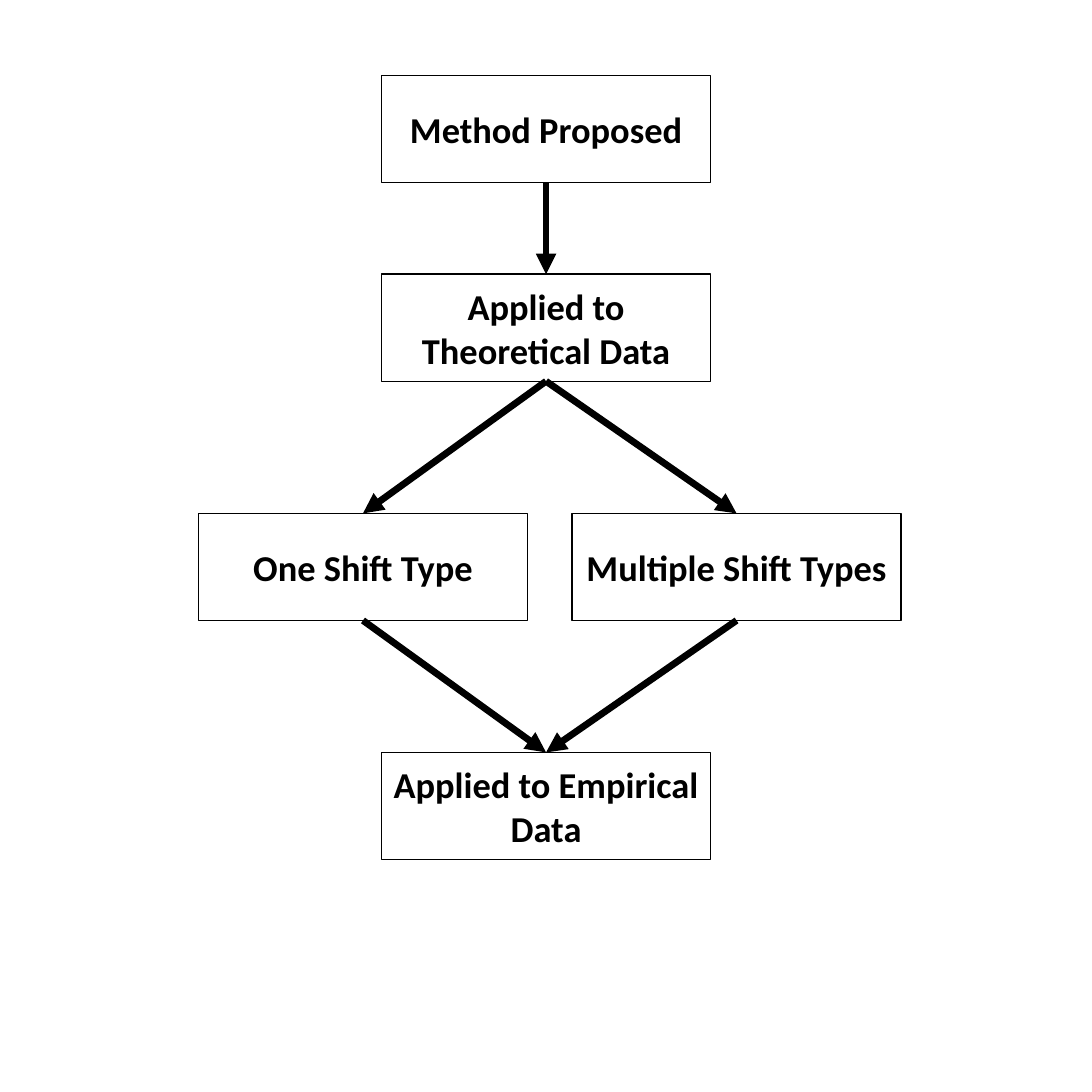
"""Build a flowchart of a method applied to theoretical and empirical data."""
from typing import NamedTuple

from pptx import Presentation
from pptx.dml.color import RGBColor
from pptx.enum import shapes, text
from pptx.oxml.ns import qn
from pptx.shapes.autoshape import Shape
from pptx.slide import Slide
from pptx.util import Pt
from lxml import etree

BLACK = RGBColor(0x00, 0x00, 0x00)
WHITE = RGBColor(0xFF, 0xFF, 0xFF)
FONT = "Calibri"
BOX_WIDTH, BOX_HEIGHT = Pt(216.7), Pt(70.6)
LEFT, CENTRE, RIGHT = Pt(131), Pt(251.7), Pt(377.3)
TOP_SITE, BOTTOM_SITE = 0, 2


class Step(NamedTuple):
    label: str
    left: int
    top: int


class Link(NamedTuple):
    source: str
    target: str


STEPS = {
    "method": Step("Method Proposed", CENTRE, Pt(49.7)),
    "theory": Step("Applied to Theoretical Data", CENTRE, Pt(180.8)),
    "empirical": Step("Applied to Empirical Data", CENTRE, Pt(496.1)),
    "one": Step("One Shift Type", LEFT, Pt(338.5)),
    "multiple": Step("Multiple Shift Types", RIGHT, Pt(338.5)),
}
LINKS = [
    Link("method", "theory"),
    Link("theory", "one"),
    Link("theory", "multiple"),
    Link("multiple", "empirical"),
    Link("one", "empirical"),
]


def add_step(page: Slide, step: Step) -> Shape:
    box = page.shapes.add_shape(
        shapes.MSO_SHAPE.RECTANGLE, step.left, step.top, BOX_WIDTH, BOX_HEIGHT
    )
    box.shadow.inherit = False
    box.fill.solid()
    box.fill.fore_color.rgb = WHITE
    box.line.color.rgb = BLACK
    box.line.width = Pt(1)
    frame = box.text_frame
    frame.word_wrap = True
    frame.vertical_anchor = text.MSO_ANCHOR.MIDDLE
    para = frame.paragraphs[0]
    para.alignment = text.PP_ALIGN.CENTER
    span = para.add_run()
    span.text = step.label
    span.font.name = FONT
    span.font.size = Pt(24)
    span.font.bold = True
    span.font.color.rgb = BLACK
    return box


def add_arrow(page: Slide, source: Shape, target: Shape) -> None:
    arrow = page.shapes.add_connector(shapes.MSO_CONNECTOR.STRAIGHT, 0, 0, 0, 0)
    arrow.begin_connect(source, BOTTOM_SITE)
    arrow.end_connect(target, TOP_SITE)
    arrow.line.color.rgb = BLACK
    arrow.line.width = Pt(4.5)
    properties = arrow.element.spPr
    etree.SubElement(properties.find(qn("a:ln")), qn("a:tailEnd"), type="triangle")
    etree.SubElement(properties, qn("a:effectLst"))


def main() -> None:
    deck = Presentation()
    deck.slide_width = deck.slide_height = Pt(720)
    page = deck.slides.add_slide(deck.slide_layouts.get_by_name("Blank"))
    boxes = {name: add_step(page, step) for name, step in STEPS.items()}
    for link in LINKS:
        add_arrow(page, boxes[link.source], boxes[link.target])
    deck.save("out.pptx")


main()
